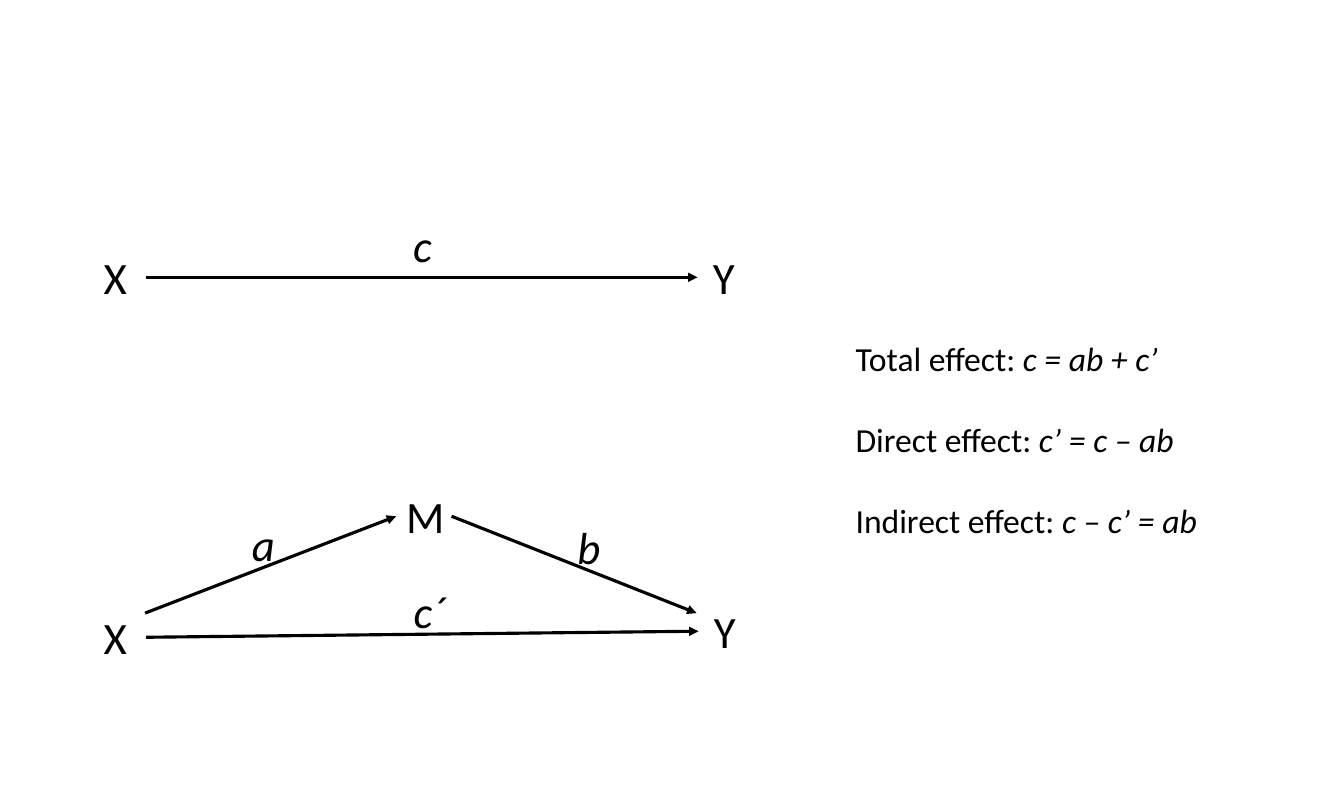
from pptx import Presentation
from pptx.dml.color import RGBColor
from pptx.enum.shapes import MSO_CONNECTOR as Connector
from pptx.enum.text import MSO_AUTO_SIZE as AutoSize, PP_ALIGN as Align
from pptx.oxml.ns import qn
from pptx.util import Cm, Inches, Pt
from lxml import etree

BLACK = "000000"


def color(hex_code):
    return RGBColor.from_string(hex_code)


def add_text(page, left, top, width, height, lines, size, align=Align.LEFT, gap=0):
    """Each line is a list of (text, italic) pairs."""
    box = page.shapes.add_textbox(Inches(left), Inches(top), Inches(width), Inches(height))
    frame = box.text_frame
    frame.word_wrap = True
    frame.auto_size = AutoSize.SHAPE_TO_FIT_TEXT
    for index, line in enumerate(lines):
        para = frame.add_paragraph() if index else frame.paragraphs[0]
        para.alignment = align
        para.space_before = Pt(gap if index else 0)
        para.font.name = "Calibri"
        para.font.size = Pt(size)
        para.font.color.rgb = color(BLACK)
        for text, italic in line:
            span = para.add_run()
            span.text = text
            span.font.italic = italic


# Page of 13 1/3 inches by 20 cm
deck = Presentation()
deck.slide_width, deck.slide_height = Inches(40 / 3), Cm(20)
page = deck.slides.add_slide(deck.slide_layouts[6])

# Paths: total effect, direct effect, then the two legs through M
arrows = [
    (1.45, 2.75, 6.92, 2.75),
    (1.45, 6.32, 6.93, 6.26),
    (1.44, 6.08, 3.93, 5.12),
    (4.48, 5.12, 6.91, 6.08),
]
for ends in arrows:
    arrow = page.shapes.add_connector(Connector.STRAIGHT, *map(Inches, ends))
    arrow.line.color.rgb = color(BLACK)
    arrow.line.width = Pt(2.25)
    properties = arrow._element.spPr
    etree.SubElement(properties.find(qn("a:ln")), qn("a:tailEnd"), type="triangle")
    etree.SubElement(properties, qn("a:effectLst"))

# Variables (upright) and path coefficients (italic)
labels = [
    ("X", 0.93, 2.43, 0.52, False),
    ("Y", 6.92, 2.43, 0.52, False),
    ("c", 3.93, 2.11, 0.52, True),
    ("X", 0.93, 6, 0.52, False),
    ("M", 3.93, 4.8, 0.55, False),
    ("Y", 6.93, 5.94, 0.52, False),
    ("a", 2.4, 5.07, 0.4, True),
    ("b", 5.63, 5.1, 0.4, True),
    ("c´", 4, 5.74, 0.52, True),
]
for text, left, top, width, italic in labels:
    align = Align.LEFT if text == "X" else Align.CENTER
    add_text(page, left, top, width, 0.64, [[(text, italic)]], 32, align)

# Effect equations
equations = [
    [("Total effect: ", False), ("c = ab + c’", True)],
    [("Direct effect: ", False), ("c’ = c – ab", True)],
    [("Indirect effect: ", False), ("c – c’ = ab", True)],
]
add_text(page, 8.39, 3.3, 4.44, 2.12, equations, 24, gap=29)

deck.save("out.pptx")
